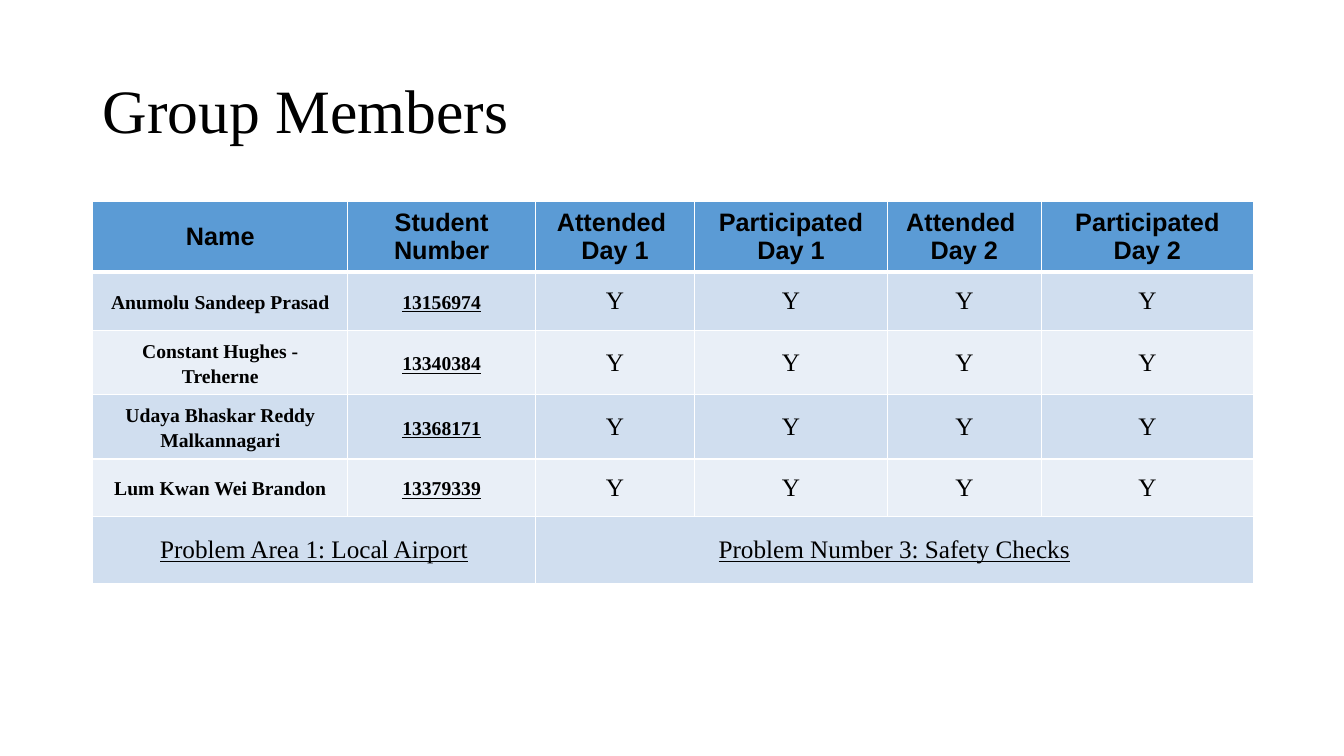
from lxml.etree import SubElement
from pptx import Presentation
from pptx.dml.color import RGBColor
from pptx.enum.text import MSO_ANCHOR, PP_ALIGN
from pptx.oxml.ns import qn
from pptx.util import Inches, Pt

COLORS = {"text": "000000", "head": "5B9BD5", "odd": "D0DEEF",
          "even": "E9EFF7", "line": "FFFFFF"}
SERIF, SANS = "Times New Roman", "Arial"
WIDTHS = [2.53, 1.86, 0.5, 1.08, 1.91, 1.53, 2.1]
HEIGHTS = [0.41, 0.58, 0.41, 0.41, 0.57, 0.67]
HEADS = ["Name", "Student Number", "Attended \nDay 1", "Participated\nDay 1",
         "Attended \nDay 2", "Participated\nDay 2"]
MEMBERS = [("Anumolu Sandeep Prasad", "13156974"),
           ("Constant Hughes - Treherne", "13340384"),
           ("Udaya Bhaskar Reddy Malkannagari", "13368171"),
           ("Lum Kwan Wei Brandon", "13379339")]
AREAS = ["Problem Area 1: Local Airport", "Problem Number 3: Safety Checks"]
STARTS = [0, 1, 2, 4, 5, 6]


def write(frame, text, size=18, face=SERIF, bold=False, under=False,
          align=PP_ALIGN.CENTER, space=1.0):
    """Fill a text frame, one paragraph per line of text."""
    for i, line in enumerate(text.split("\n")):
        para = frame.add_paragraph() if i else frame.paragraphs[0]
        para.alignment, para.line_spacing = align, space
        run = para.add_run()
        run.text = line
        font = run.font
        font.size, font.name = Pt(size), face
        font.bold, font.underline = bold, under
        font.color.rgb = RGBColor.from_string(COLORS["text"])


def paint(cell, row):
    """Give a cell its borders, fill and anchor by its row."""
    props = cell._tc.get_or_add_tcPr()
    thick = {0: "lnB", 1: "lnT"}.get(row)
    for side in ("lnL", "lnR", "lnT", "lnB"):
        width = Pt(3 if side == thick else 1)
        line = SubElement(props, qn("a:" + side), w=str(width))
        fill = SubElement(line, qn("a:solidFill"))
        SubElement(fill, qn("a:srgbClr"), val=COLORS["line"])
    shade = "head" if row == 0 else "odd" if row % 2 else "even"
    cell.fill.solid()
    cell.fill.fore_color.rgb = RGBColor.from_string(COLORS[shade])
    cell.vertical_anchor = MSO_ANCHOR.MIDDLE


def add_title(slide, left, top, width, height):
    """Place the slide title in the given box."""
    frame = slide.shapes.add_textbox(
        Inches(left), Inches(top), Inches(width), Inches(height)).text_frame
    frame.word_wrap = True
    frame.vertical_anchor = MSO_ANCHOR.MIDDLE
    write(frame, "Group Members", 44, align=PP_ALIGN.LEFT, space=0.9)


def add_roster(slide, left, top, width, height):
    """Place the table of members and attendance in the given box."""
    table = slide.shapes.add_table(
        len(HEIGHTS), len(WIDTHS), Inches(left), Inches(top),
        Inches(width), Inches(height)).table
    for col, size in zip(table.columns, WIDTHS):
        col.width = Inches(size)
    for row, size in zip(table.rows, HEIGHTS):
        row.height = Inches(size)
    last = len(HEIGHTS) - 1
    for r in range(len(HEIGHTS)):
        for c in range(len(WIDTHS)):
            paint(table.cell(r, c), r)
        if r < last:
            table.cell(r, 2).merge(table.cell(r, 3))
    for c, text in zip(STARTS, HEADS):
        write(table.cell(0, c).text_frame, text, face=SANS, bold=True)
    for r, (name, number) in enumerate(MEMBERS, 1):
        write(table.cell(r, 0).text_frame, name, 14, bold=True, space=1.15)
        write(table.cell(r, 1).text_frame, number, 14, bold=True,
              under=True, space=1.15)
        for c in STARTS[2:]:
            write(table.cell(r, c).text_frame, "Y")
    for text, start, end in zip(AREAS, (0, 2), (1, 6)):
        table.cell(last, start).merge(table.cell(last, end))
        write(table.cell(last, start).text_frame, text, under=True)


def main():
    """Build and save the slide."""
    deck = Presentation()
    deck.slide_width, deck.slide_height = Inches(13.33), Inches(7.5)
    slide = deck.slides.add_slide(deck.slide_layouts[6])
    add_title(slide, 0.92, 0.4, 11.5, 1.45)
    add_roster(slide, 0.92, 2, sum(WIDTHS), sum(HEIGHTS))
    deck.save("out.pptx")


if __name__ == "__main__":
    main()
